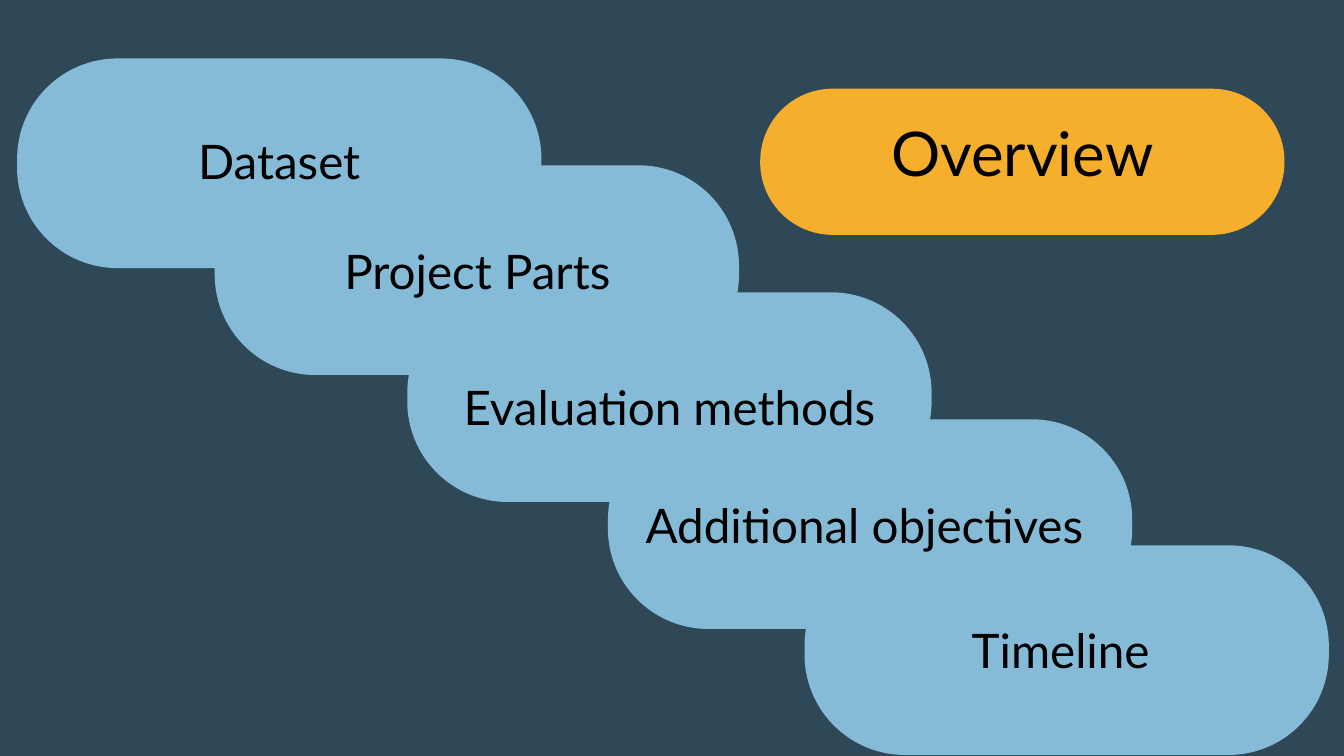
from pptx import Presentation
from pptx.dml.color import RGBColor
from pptx.enum.shapes import MSO_SHAPE
from pptx.enum.text import MSO_ANCHOR, PP_ALIGN
from pptx.util import Inches, Pt

PILL = MSO_SHAPE.ROUNDED_RECTANGLE
CENTER = PP_ALIGN.CENTER
TOP, MIDDLE = MSO_ANCHOR.TOP, MSO_ANCHOR.MIDDLE

COLORS = {"back": "2F4858", "step": "86BBD8", "title": "F6AE2D", "text": "000000"}
STEP_SIZE = (5.2, 2.08)

# Pill corner, label text, label box, line spacing, top inset
STEPS = [
    ((0.17, 0.58), "Dataset", (1.86, 1.32, 1.82, 0.62), 0.9, 0.05),
    ((2.13, 1.64), "Project Parts", (3.12, 2.35, 3.23, 0.67), 1.0, 0.05),
    ((4.04, 2.9), "Evaluation methods", (4.15, 3.7, 4.98, 0.67), 1.0, 0.05),
    ((6.03, 4.16), "Additional objectives ", (6.18, 4.87, 4.91, 0.67), 1.0, 0.05),
    ((7.98, 5.41), "Timeline ", (8.94, 6.06, 3.28, 0.77), 1.0, 0.1),
]


def color(name):
    return RGBColor.from_string(COLORS[name])


def apply(target, values):
    for name, value in values.items():
        setattr(target, name, value)


def add_pill(slide, box, fill, round_by):
    pill = slide.shapes.add_shape(PILL, *map(Inches, box))
    pill.adjustments[0] = round_by
    pill.shadow.inherit = False
    pill.fill.solid()
    pill.fill.fore_color.rgb = color(fill)
    pill.line.fill.background()


def add_label(slide, text, box, size, spacing=1.0, inset=0.05, anchor=TOP):
    frame = slide.shapes.add_textbox(*map(Inches, box)).text_frame
    apply(frame, {
        "word_wrap": True,
        "vertical_anchor": anchor,
        "margin_left": Inches(0.1),
        "margin_right": Inches(0.1),
        "margin_top": Inches(inset),
        "margin_bottom": Inches(inset),
    })
    para = frame.paragraphs[0]
    apply(para, {"alignment": CENTER, "line_spacing": spacing})
    run = para.add_run()
    run.text = text
    apply(run.font, {"name": "Lato", "size": Pt(size)})
    run.font.color.rgb = color("text")


def main():
    deck = Presentation()
    apply(deck, {"slide_width": Inches(13.33), "slide_height": Inches(7.5)})
    slide = deck.slides.add_slide(deck.slide_layouts[6])
    slide.background.fill.solid()
    slide.background.fill.fore_color.rgb = color("back")

    for corner, *_ in STEPS:
        add_pill(slide, corner + STEP_SIZE, "step", 0.479)
    for _, text, box, spacing, inset in STEPS:
        add_label(slide, text, box, 34, spacing, inset)

    add_pill(slide, (7.54, 0.88, 5.2, 1.45), "title", 0.496)
    add_label(slide, "Overview", (8.61, 0.83, 3.06, 1.45), 44, 0.9, anchor=MIDDLE)
    deck.save("out.pptx")


if __name__ == "__main__":
    main()
